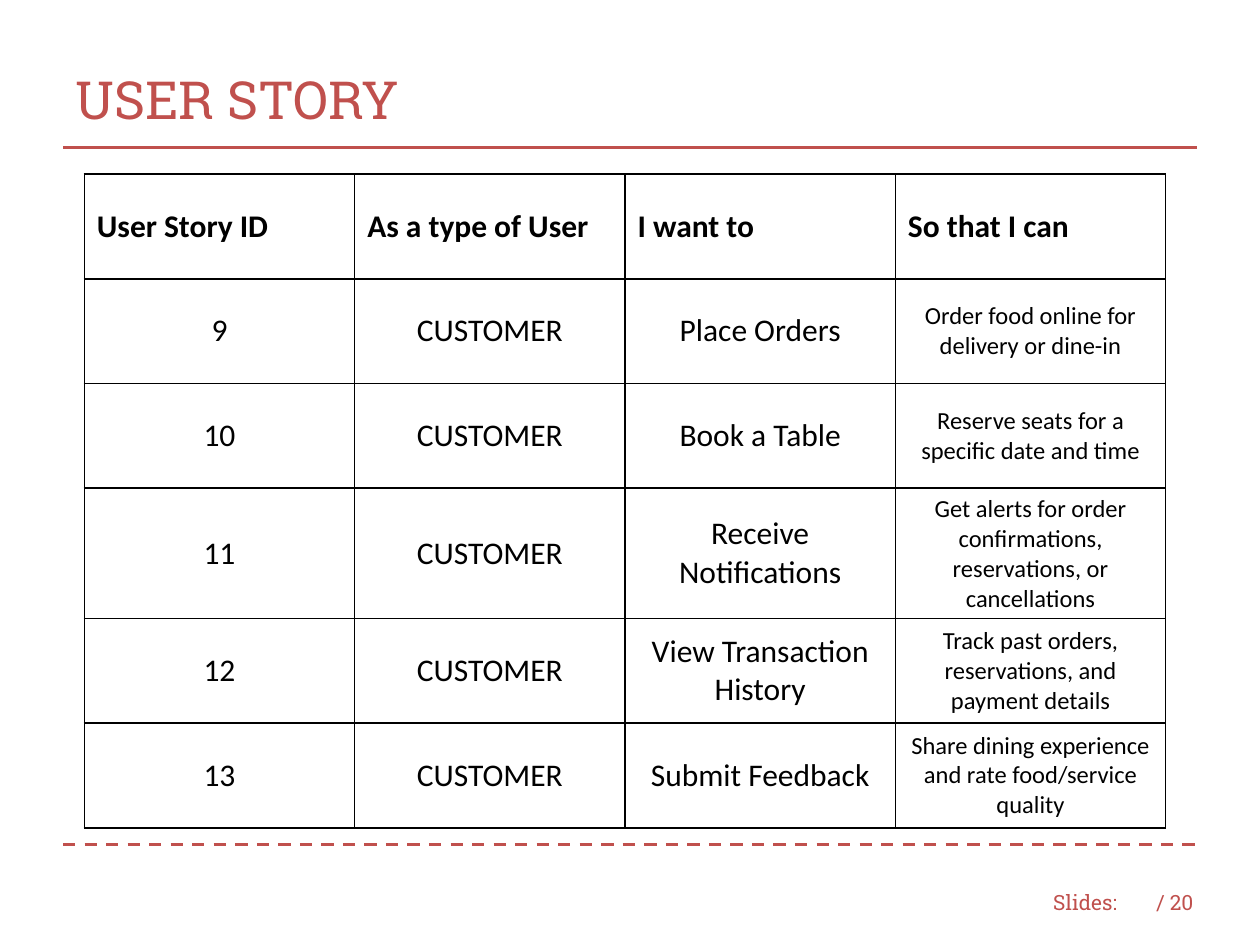
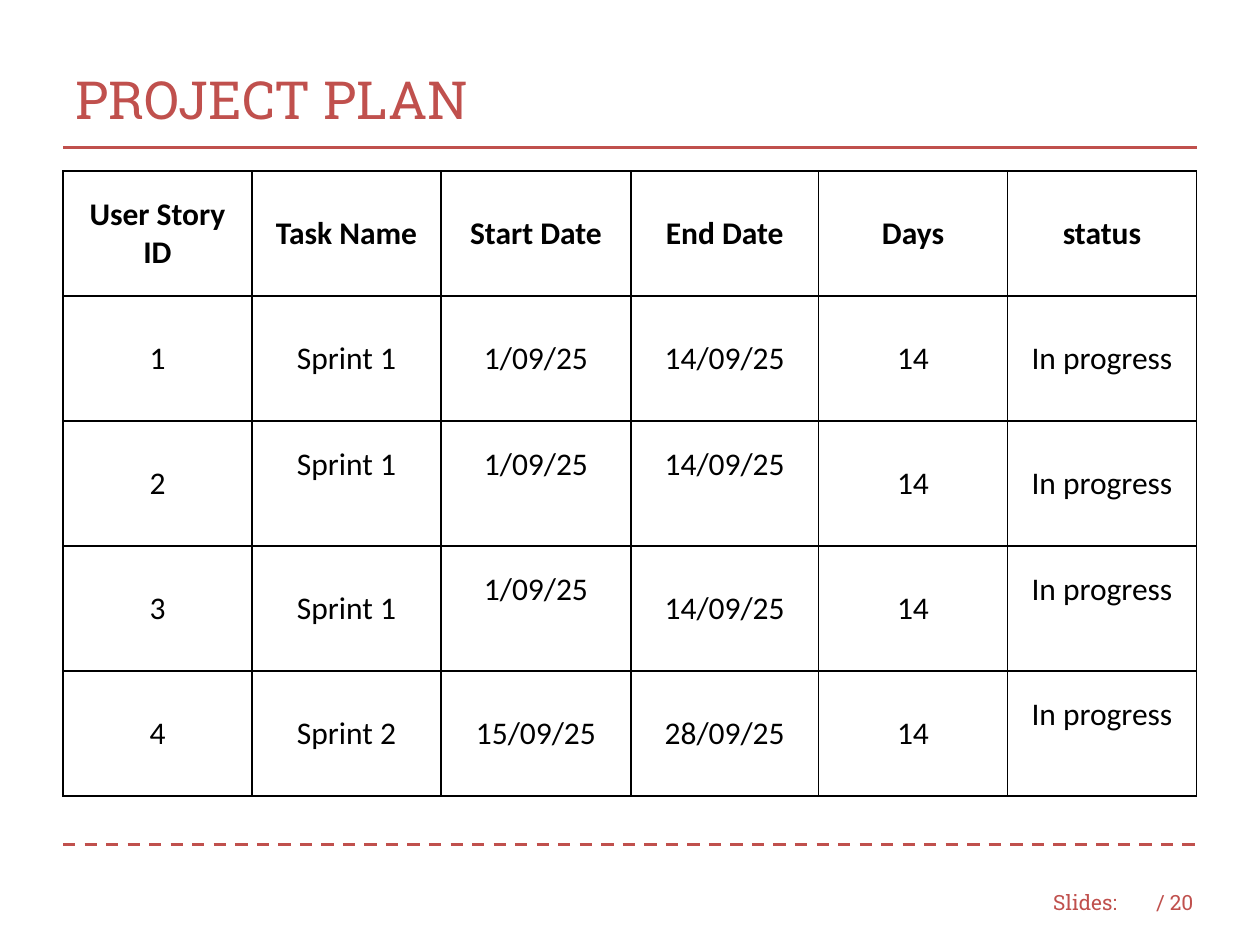
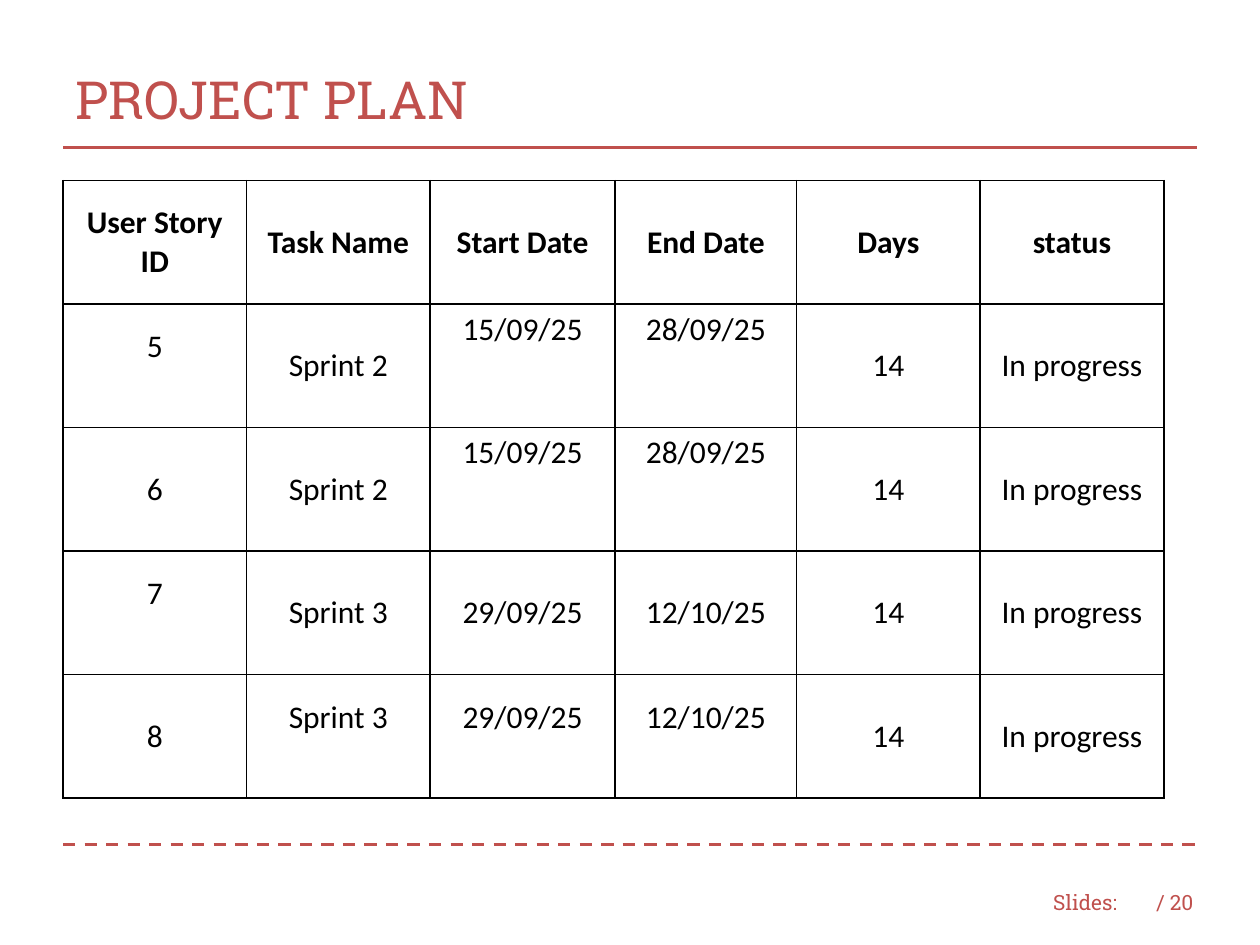
from lxml import etree
from pptx import Presentation
from pptx.dml.color import RGBColor
from pptx.enum.dml import MSO_LINE
from pptx.enum.shapes import MSO_CONNECTOR
from pptx.enum.text import MSO_ANCHOR, PP_ALIGN
from pptx.oxml.ns import qn
from pptx.util import Cm, Pt

DASH = MSO_LINE.DASH
STRAIGHT = MSO_CONNECTOR.STRAIGHT
TOP, MIDDLE = MSO_ANCHOR.TOP, MSO_ANCHOR.MIDDLE
LEFT, CENTER = PP_ALIGN.LEFT, PP_ALIGN.CENTER

RED, BLACK = "C0504D", "000000"
TITLE_FONT, BODY_FONT = "Roboto Slab", "Calibri"
RAISED_MARGIN = Cm(0.9)

STORY_HEADER = ["User Story ID", "As a type of User", "I want to", "So that I can"]
STORIES = [
    ("Place Orders", "Order food online for delivery or dine-in"),
    ("Book a Table", "Reserve seats for a specific date and time"),
    ("Receive Notifications", "Get alerts for order confirmations, reservations, or cancellations"),
    ("View Transaction History", "Track past orders, reservations, and payment details"),
    ("Submit Feedback", "Share dining experience and rate food/service quality"),
]
PLAN_HEADER = ["User Story ID", "Task Name", "Start Date", "End Date", "Days", "status"]
SPRINT_DATES = {
    1: ("1/09/25", "14/09/25"),
    2: ("15/09/25", "28/09/25"),
    3: ("29/09/25", "12/10/25"),
}


def color(value):
    return RGBColor.from_string(value)


class Deck:
    def __init__(self):
        self.prs = Presentation()
        self.prs.slide_width, self.prs.slide_height = Cm(25.4), Cm(19.05)
        self.slide = None

    def add_slide(self, title):
        self.slide = self.prs.slides.add_slide(self.prs.slide_layouts[6])
        self.text("Slides:", 20.98, 17.68, 1.91, 1.02, 12)
        self.text("/ 20", 23.06, 17.68, 1.47, 1.02, 12)
        self.rule(17.02, DASH)
        self.rule(2.97)
        self.text(title, 1.27, 0.84, 22.86, 2.31, 30)

    def run(self, paragraph, text, size, font, hex_color, bold=False):
        run = paragraph.add_run()
        run.text = text
        run.font.size, run.font.name, run.font.bold = Pt(size), font, bold
        run.font.color.rgb = color(hex_color)

    def text(self, text, left, top, width, height, size):
        box = self.slide.shapes.add_textbox(Cm(left), Cm(top), Cm(width), Cm(height))
        frame = box.text_frame
        frame.word_wrap = True
        frame.vertical_anchor = MIDDLE
        self.run(frame.paragraphs[0], text, size, TITLE_FONT, RED)

    def rule(self, y, dash=None):
        line = self.slide.shapes.add_connector(STRAIGHT, Cm(1.27), Cm(y), Cm(24.13), Cm(y))
        line.line.color.rgb = color(RED)
        line.line.width = Pt(1.75)
        if dash:
            line.line.dash_style = dash
        etree.SubElement(line._element.spPr, qn("a:effectLst"))

    def borders(self, cell):
        properties = cell._tc.get_or_add_tcPr()
        for side in ("L", "R", "T", "B"):
            edge = etree.SubElement(properties, qn(f"a:ln{side}"), w=str(Pt(1)))
            fill = etree.SubElement(edge, qn("a:solidFill"))
            etree.SubElement(fill, qn("a:srgbClr"), val=BLACK)

    def cell(self, cell, text, size, bold, align):
        self.borders(cell)
        cell.fill.background()
        cell.vertical_anchor = MIDDLE
        paragraph = cell.text_frame.paragraphs[0]
        paragraph.alignment = align
        self.run(paragraph, text, size, BODY_FONT, BLACK, bold)

    def table(self, rows, left, top, widths, row_height, header_align=CENTER, sizes=None):
        frame = self.slide.shapes.add_table(
            len(rows), len(widths), Cm(left), Cm(top), Cm(sum(widths)), Cm(row_height * len(rows)))
        table = frame.table
        table.first_row = table.horz_banding = False
        for column, width in zip(table.columns, widths):
            column.width = Cm(width)
        for r, values in enumerate(rows):
            table.rows[r].height = Cm(row_height)
            for c, value in enumerate(values):
                header = r == 0
                size = 18 if header or not sizes else sizes[c]
                self.cell(table.cell(r, c), value, size, header, header_align if header else CENTER)
        return table

    def plan(self, first_id, sprints, top, widths, row_height, raised, at_top=()):
        self.add_slide("PROJECT PLAN")
        tasks = [[str(story), f"Sprint {sprint}", *SPRINT_DATES[sprint], "14", "In progress"]
                 for story, sprint in enumerate(sprints, first_id)]
        table = self.table([PLAN_HEADER, *tasks], 1.27, top, widths, row_height)
        for position in raised:
            table.cell(*position).margin_bottom = RAISED_MARGIN
        for position in at_top:
            table.cell(*position).vertical_anchor = TOP


def main():
    deck = Deck()
    deck.add_slide("USER STORY")
    stories = [[str(number), "CUSTOMER", want, goal]
               for number, (want, goal) in enumerate(STORIES, 9)]
    deck.table([STORY_HEADER, *stories], 1.7, 3.51, [5.45] * 4, 2.11, LEFT, [18, 18, 18, 14])

    deck.plan(1, [1, 1, 1, 2], 3.45, [3.81, 3.81, 3.83, 3.78, 3.81, 3.81], 2.52,
              raised=[(2, 1), (2, 2), (2, 3), (3, 2), (3, 5), (4, 5)])
    deck.plan(5, [2, 2, 3, 3], 3.64, [3.7, 3.7, 3.73, 3.66, 3.7, 3.7], 2.49,
              raised=[(1, 0), (3, 0), (4, 1), (4, 2), (4, 3)],
              at_top=[(1, 2), (1, 3), (2, 2), (2, 3)])
    deck.prs.save("out.pptx")


if __name__ == "__main__":
    main()
